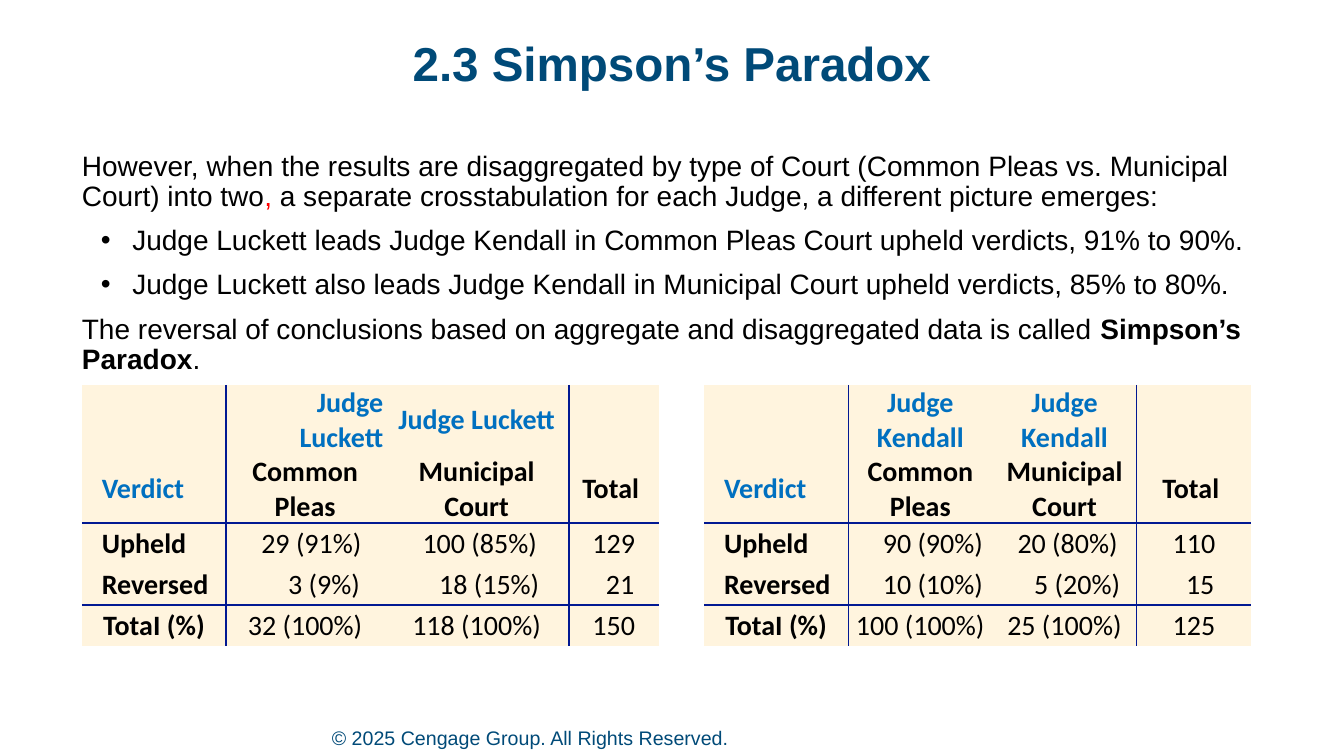
from lxml.etree import SubElement as Sub
from pptx import Presentation
from pptx.dml.color import RGBColor as RGB
from pptx.enum.text import MSO_ANCHOR as Anchor, PP_ALIGN as Align
from pptx.oxml.ns import qn
from pptx.util import Pt

NAVY = RGB(0x00, 0x4A, 0x78)
BLUE = RGB(0x00, 0x70, 0xC0)
LINE = RGB(0x01, 0x18, 0x92)
CREAM = RGB(0xFF, 0xF4, 0xDE)
BLACK = RGB(0, 0, 0)
RED = RGB(0xFF, 0, 0)

BODY = [
    (False, [("However, when the results are disaggregated by type of Court "
              "(Common Pleas vs. Municipal Court) into two", {}),
             (",", {"color": RED}),
             (" a separate crosstabulation for each Judge, a different picture emerges:", {})]),
    (True, [("Judge Luckett leads Judge Kendall in Common Pleas Court upheld verdicts, 91% to 90%.", {})]),
    (True, [("Judge Luckett also leads Judge Kendall in Municipal Court upheld verdicts, 85% to 80%.", {})]),
    (False, [("The reversal of conclusions based on aggregate and disaggregated data is called ", {}),
             ("Simpson’s Paradox", {"bold": True}), (".", {})]),
]
HEAD = ["Verdict", "Common Pleas", "Municipal Court", "Total"]
SIDES = ["Upheld", "Reversed", "TotaI (%)"]
JUDGES = [
    ("Judge Luckett",
     [["29 (91%)", "100 (85%)", "129"], ["3 (9%)", "18 (15%)", "21"], ["32 (100%)", "118 (100%)", "150"]],
     [[9, 4.5, 0], [27, 18, 9], [0, 0, 0]]),
    ("Judge Kendall",
     [["90 (90%)", "20 (80%)", "110"], ["10 (10%)", "5 (20%)", "15"], ["100 (100%)", "25 (100%)", "125"]],
     [[18, 4.5, 0], [18, 18, 9], [0, 0, 0]]),
]
COLS = [103, 113, 132, 64, 32.5, 103, 103, 103, 82]
ROWS = [49.3, 49.3, 29.3, 29.3, 29.3]
GAP = 4


def write(par, text, size=20, face="Arial", color=BLACK, bold=False):
    run = par.add_run()
    run.text = text
    font = run.font
    font.size, font.name, font.bold = Pt(size), face, bold
    font.color.rgb = color


class Deck:
    """Holds the table style and the current slide."""

    def __init__(self):
        self.prs = Presentation()
        self.prs.slide_width, self.prs.slide_height = Pt(960), Pt(540)
        self.slide = self.prs.slides.add_slide(self.prs.slide_layouts[5])
        self.fill, self.line = CREAM, LINE

    def frame(self, shape, box, anchor=Anchor.TOP):
        shape.left, shape.top, shape.width, shape.height = map(Pt, box)
        area = shape.text_frame
        area.margin_left = area.margin_right = area.margin_top = area.margin_bottom = 0
        area.word_wrap, area.vertical_anchor = True, anchor
        return area

    def title(self, text, box):
        par = self.frame(self.slide.shapes.title, box).paragraphs[0]
        par.alignment, par.line_spacing = Align.CENTER, 0.9
        write(par, text, size=34, color=NAVY, bold=True)

    def text(self, items, box, anchor=Anchor.TOP, gap=0, spacing=1.0, **style):
        shape = self.slide.shapes.add_textbox(*map(Pt, box))
        area = self.frame(shape, box, anchor)
        for i, (dot, parts) in enumerate(items):
            par = area.add_paragraph() if i else area.paragraphs[0]
            if dot:
                self.bullet(par)
            par.line_spacing = spacing
            par.space_before = Pt(gap if i else 0)
            for text, look in parts:
                write(par, text, **{**style, **look})

    def bullet(self, par):
        props = par._p.get_or_add_pPr()
        props.set("marL", str(Pt(36)))
        props.set("indent", str(Pt(-22.5)))
        Sub(props, qn("a:buFont"), typeface="Arial")
        Sub(props, qn("a:buChar"), char="•")

    def table(self, left, top, cols, rows):
        shape = self.slide.shapes.add_table(
            len(rows), len(cols), Pt(left), Pt(top), Pt(sum(cols)), Pt(sum(rows)))
        grid = shape.table
        grid.first_row = grid.horz_banding = False
        for col, width in zip(grid.columns, cols):
            col.width = Pt(width)
        for row, height in zip(grid.rows, rows):
            row.height = Pt(height)
        return grid

    def cell(self, cell, edges, filled=True):
        cell.margin_left = cell.margin_right = cell.margin_top = Pt(0.75)
        cell.margin_bottom = 0
        cell.vertical_anchor = Anchor.MIDDLE
        props = cell._tc.get_or_add_tcPr()
        for side in "LRTB":
            edge = Sub(props, qn(f"a:ln{side}"), w=str(Pt(1)))
            if side in edges:
                paint = Sub(edge, qn("a:solidFill"))
                Sub(paint, qn("a:srgbClr"), val=str(self.line))
            else:
                Sub(edge, qn("a:noFill"))
        if filled:
            cell.fill.solid()
            cell.fill.fore_color.rgb = self.fill
        else:
            cell.fill.background()

    def label(self, cell, text, align=Align.CENTER, left=0, right=0, **style):
        cell.margin_left, cell.margin_right = Pt(left + 0.75), Pt(right + 0.75)
        par = cell.text_frame.paragraphs[0]
        par.alignment = align
        write(par, text, face="Calibri", **style)


def fill_judge(deck, grid, start, name, values, pads):
    for col in (1, 2):
        align = Align.RIGHT if start + col == 1 else Align.CENTER
        deck.label(grid.cell(0, start + col), name, align, color=BLUE, bold=True)
    deck.label(grid.cell(1, start), HEAD[0], Align.LEFT, left=13.5, color=BLUE, bold=True)
    for col, text in enumerate(HEAD[1:], 1):
        deck.label(grid.cell(1, start + col), text, right=4.5 if text == "Total" else 0, bold=True)
    for row, side in enumerate(SIDES):
        last = row == len(SIDES) - 1
        deck.label(grid.cell(row + 2, start), side, Align.CENTER if last else Align.LEFT,
                   left=0 if last else 13.5, bold=True)
        for col, (text, pad) in enumerate(zip(values[row], pads[row]), 1):
            deck.label(grid.cell(row + 2, start + col), text, left=pad)


def main():
    deck = Deck()
    deck.text([(False, [("© 2025 Cengage Group. All Rights Reserved.", {})])],
              (237, 517.5, 705, 18), Anchor.BOTTOM, size=14, color=NAVY)
    deck.title("2.3 Simpson’s Paradox", (66, 29, 828, 53))
    deck.text(BODY, (58.5, 108.5, 835.5, 168), gap=10, spacing=0.9)
    grid = deck.table(58.5, 275, COLS, ROWS)
    across = {0: "R", 1: "L", 2: "R", 3: "L"}
    down = {1: "B", 2: "T", 3: "B", 4: "T"}
    for row in range(len(ROWS)):
        for col in range(len(COLS)):
            gap = col == GAP
            edges = "" if gap else across[col % (GAP + 1)] + down.get(row, "")
            deck.cell(grid.cell(row, col), edges, not gap)
    for i, judge in enumerate(JUDGES):
        fill_judge(deck, grid, i * (GAP + 1), *judge)
    deck.prs.save("out.pptx")


if __name__ == "__main__":
    main()
